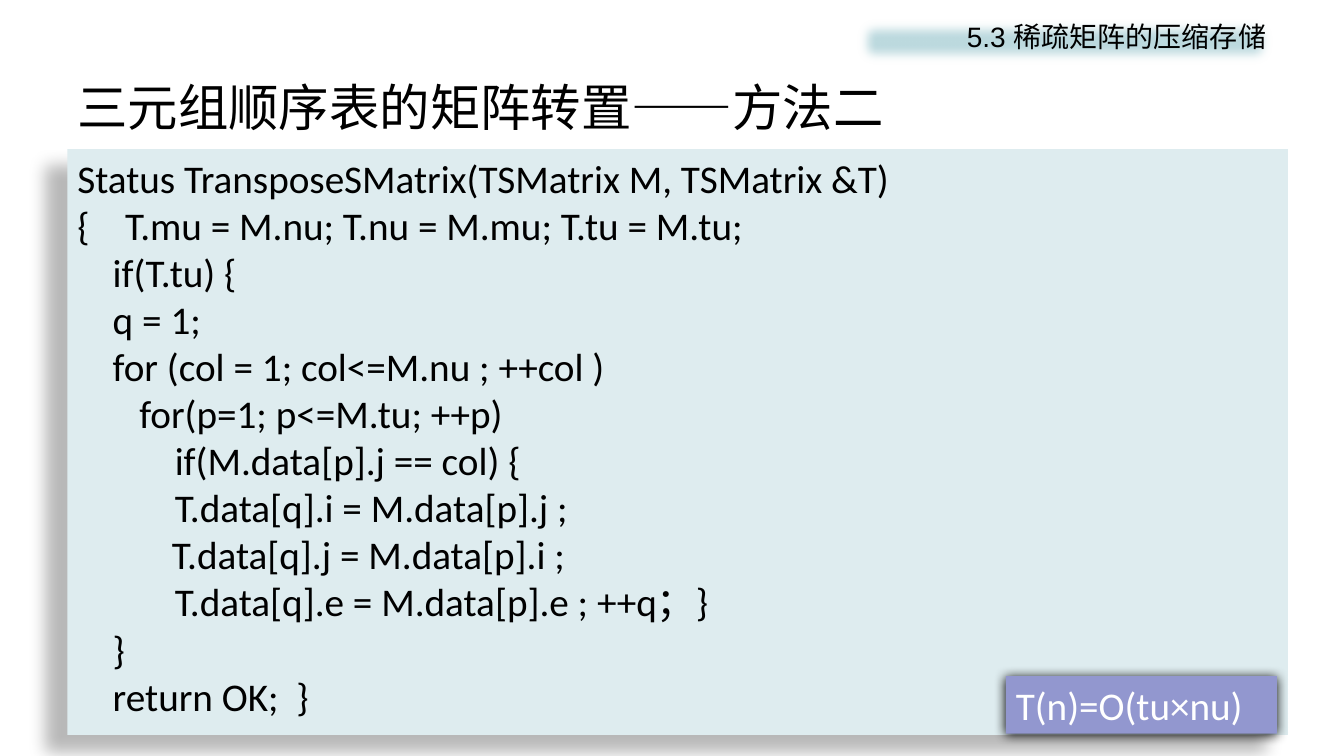
import pptx
import pptx.util
import pptx.dml.color
import pptx.oxml
import pptx.oxml.ns
import pptx.enum.shapes
import pptx.enum.text
from dataclasses import dataclass

Cm = pptx.util.Cm
Align = pptx.enum.text.PP_ALIGN
Anchor = pptx.enum.text.MSO_ANCHOR


@dataclass(frozen=True)
class Theme:
    # Colours
    ink: str = "000000"
    white: str = "FFFFFF"
    tag: str = "BDDADF"
    panel: str = "DEECEF"
    note: str = "9297CF"
    # Fonts
    code: str = "Calibri"
    head: str = "Arial"
    asian: str = "Noto Sans CJK SC"
    # Type sizes
    big: int = 36
    mid: int = 28
    small: int = 20


class Deck:
    def __init__(self, theme):
        self.theme = theme
        self.file = pptx.Presentation()
        self.file.slide_width = Cm(33.87)
        self.file.slide_height = Cm(19.05)
        self.slide = self.file.slides.add_slide(self.file.slide_layouts[6])

    def label(self, shape, text, font, size, color, align=Align.LEFT,
              anchor=Anchor.TOP):
        frame = shape.text_frame
        frame.word_wrap = True
        frame.vertical_anchor = anchor
        frame.text = text
        for para in frame.paragraphs:
            para.alignment = align
            for run in para.runs:
                run.font.name = font
                run.font.size = pptx.util.Pt(size)
                run.font.color.rgb = pptx.dml.color.RGBColor.from_string(color)
                east = pptx.oxml.parse_xml(
                    f'<a:ea {pptx.oxml.ns.nsdecls("a")} '
                    f'typeface="{self.theme.asian}"/>')
                run.font._element.find(
                    pptx.oxml.ns.qn("a:latin")).addnext(east)

    def title(self, box, text):
        shape = self.slide.shapes.add_textbox(*map(Cm, box))
        self.label(shape, text, self.theme.asian, self.theme.big,
                   self.theme.ink, anchor=Anchor.MIDDLE)

    def panel(self, box, fill, text, font, size, color, align=Align.LEFT):
        shape = self.slide.shapes.add_shape(
            pptx.enum.shapes.MSO_SHAPE.RECTANGLE, *map(Cm, box))
        shape.shadow.inherit = False
        shape.fill.solid()
        shape.fill.fore_color.rgb = pptx.dml.color.RGBColor.from_string(fill)
        shape.line.fill.background()
        self.label(shape, text, font, size, color, align)
        return shape

    def effect(self, shape, xml):
        old = shape._element.spPr.find(pptx.oxml.ns.qn("a:effectLst"))
        new = pptx.oxml.parse_xml(
            f'<a:effectLst {pptx.oxml.ns.nsdecls("a")}>{xml}</a:effectLst>')
        old.getparent().replace(old, new)

    def shade(self, shape, alpha, blur, dist, angle):
        self.effect(shape, (
            f'<a:outerShdw blurRad="{pptx.util.Pt(blur)}" '
            f'dist="{pptx.util.Pt(dist)}" dir="{angle * 60000}" '
            f'algn="ctr" rotWithShape="0"><a:srgbClr val="{self.theme.ink}">'
            f'<a:alpha val="{alpha * 1000}"/></a:srgbClr></a:outerShdw>'))

    def soften(self, shape, edge):
        self.effect(shape, f'<a:softEdge rad="{pptx.util.Pt(edge)}"/>')


CODE = """Status TransposeSMatrix(TSMatrix M, TSMatrix &T)
{    T.mu = M.nu; T.nu = M.mu; T.tu = M.tu;
    if(T.tu) {
    q = 1;
    for (col = 1; col<=M.nu ; ++col )
       for(p=1; p<=M.tu; ++p)
           if(M.data[p].j == col) {
           T.data[q].i = M.data[p].j ;
\t     T.data[q].j = M.data[p].i ;
           T.data[q].e = M.data[p].e ; ++q；}
    }
    return OK;  }"""


def main():
    theme = Theme()
    deck = Deck(theme)

    # Title and section tag
    deck.title((1.7, 1.73, 30.48, 1.9), "三元组顺序表的矩阵转置——方法二")
    tag = deck.panel((21.49, 0.36, 10.67, 1.37), theme.tag,
                     "5.3 稀疏矩阵的压缩存储", theme.head, theme.small,
                     theme.ink, Align.RIGHT)
    deck.soften(tag, 8.9)

    # Code listing
    code = deck.panel((1.7, 3.76, 30.76, 14.76), theme.panel, CODE,
                      theme.code, theme.mid, theme.ink)
    deck.shade(code, 28, 11.8, 19.7, 141)

    # Running time
    cost = deck.panel((25.35, 17.04, 6.83, 1.45), theme.note, "T(n)=O(tu×nu)",
                      theme.code, theme.mid, theme.white)
    deck.shade(cost, 100, 8.5, 1, 90)

    deck.file.save("out.pptx")


if __name__ == "__main__":
    main()
